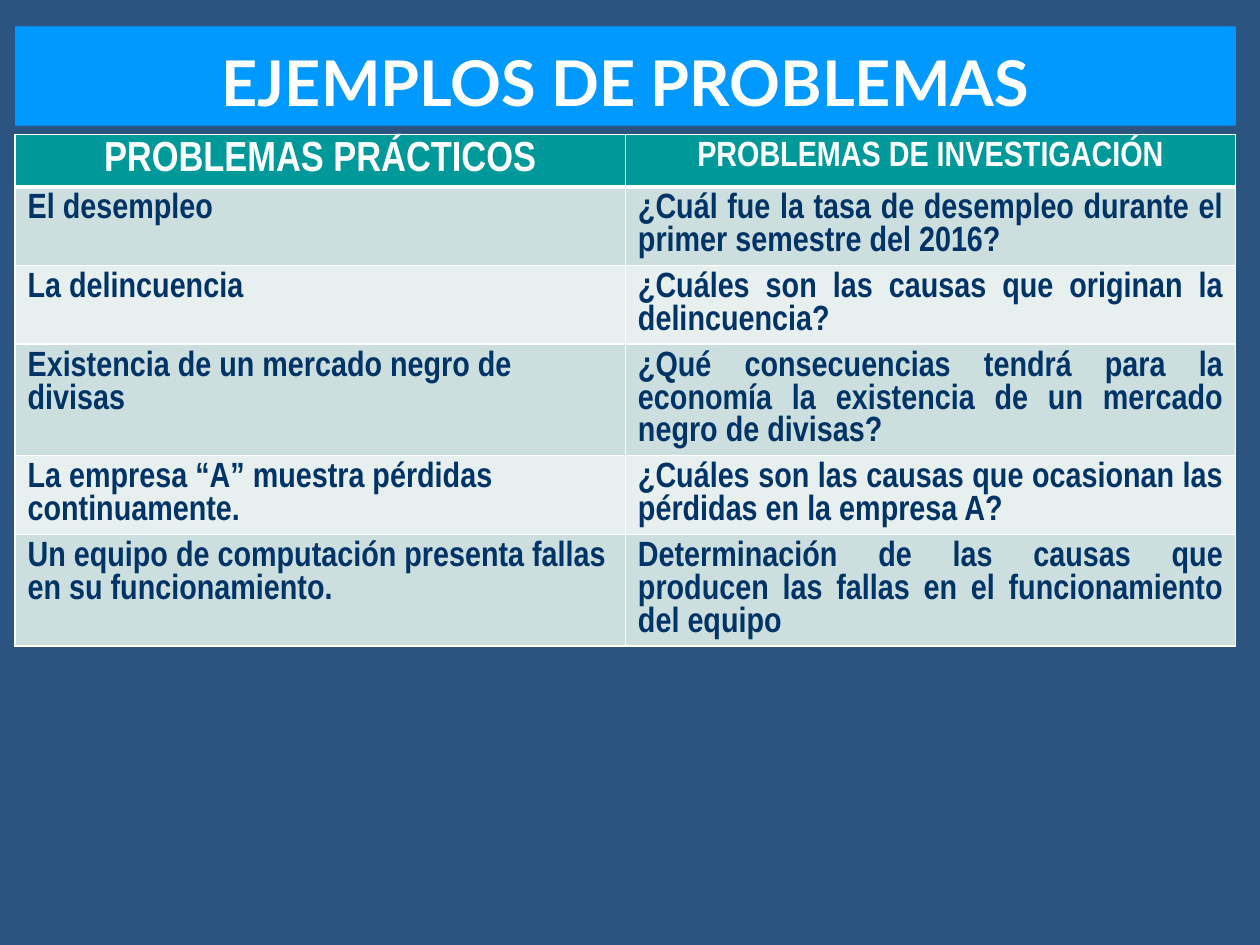
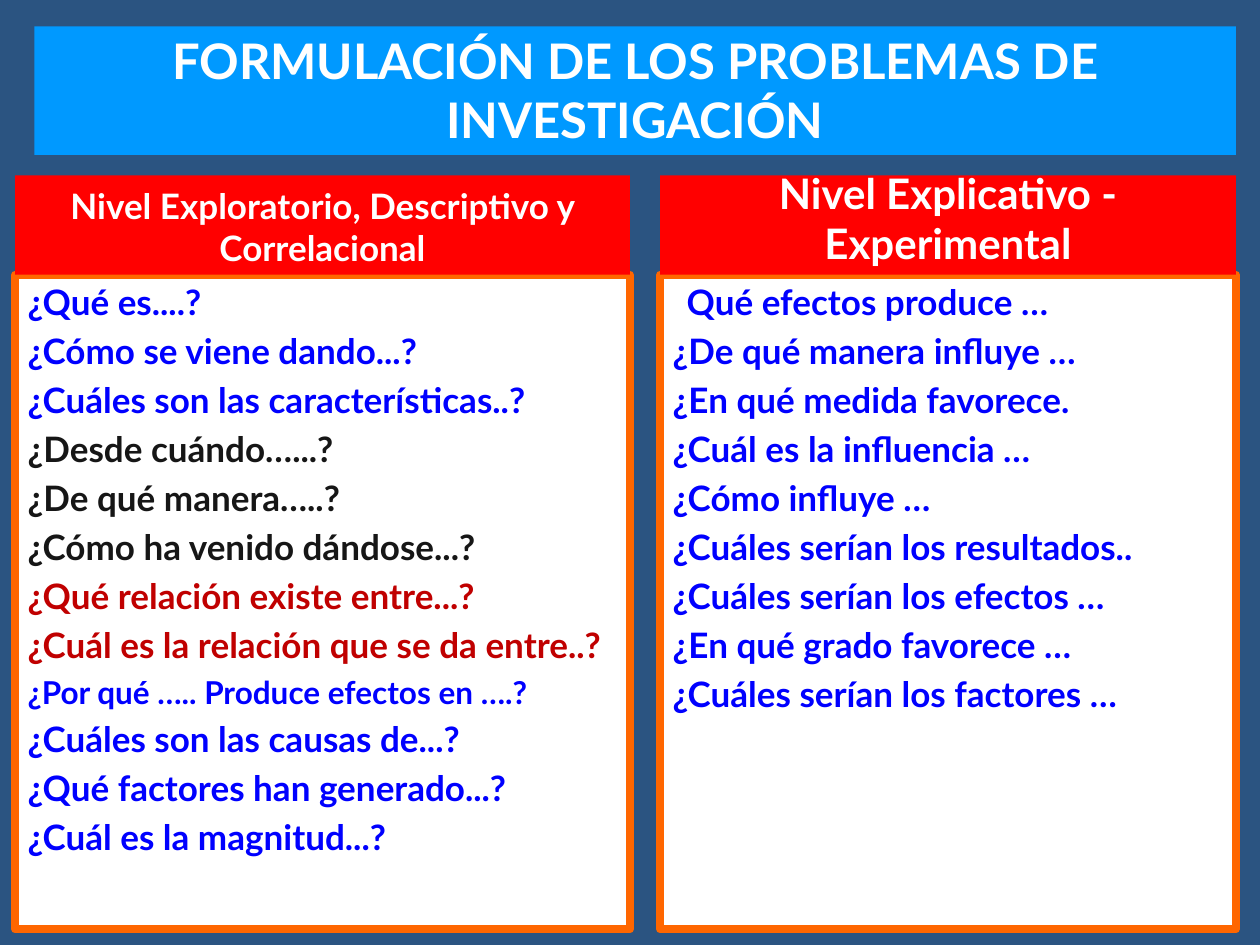
"""Builds two slides on practical problems and research problems."""
from lxml.etree import SubElement
from pptx import Presentation
from pptx.dml.color import RGBColor
from pptx.enum.text import MSO_ANCHOR as Anchor, MSO_AUTO_SIZE as AutoSize, PP_ALIGN as Align
from pptx.oxml.ns import qn
from pptx.util import Pt

NAVY, SKY, TEAL, RED, ORANGE = "2B5481", "0099FF", "009999", "FF0000", "FF6600"
WHITE, INK, BLUE, BLACK, CRIMSON = "FFFFFF", "003366", "0000FF", "161616", "C00000"
BANDS = ["E7EFEF", "CCDEDE"]
LEFT, RIGHT, TOP = 8.6, 706.2, 15.1


def color(hex_code):
    return RGBColor.from_string(hex_code)


def fill_box(box, left, top, width, height, fill, lines, anchor=Anchor.BOTTOM, align=Align.CENTER):
    """Place a placeholder and fill it with (text, size, colour, first-line indent) lines."""
    box.left, box.top, box.width, box.height = Pt(left), Pt(top), Pt(width), Pt(height)
    box.fill.solid()
    box.fill.fore_color.rgb = color(fill)
    frame = box.text_frame
    frame.auto_size, frame.word_wrap, frame.vertical_anchor = AutoSize.NONE, True, anchor
    for index, (text, size, ink, indent) in enumerate(lines):
        para = frame.paragraphs[0] if index == 0 else frame.add_paragraph()
        para.text = text
        props = para._p.get_or_add_pPr()
        props.set("marL", "0")
        props.set("indent", str(Pt(indent)))
        SubElement(props, qn("a:buNone"))
        para.alignment = align
        para.space_before = Pt(4 if index else 0)
        font = para.font
        font.name, font.size, font.bold, font.color.rgb = "Lato", Pt(size), True, color(ink)


deck = Presentation()
deck.slide_width, deck.slide_height = Pt(720), Pt(540)
background = deck.slide_master.background.fill
background.solid()
background.fore_color.rgb = color(NAVY)

page = deck.slides.add_slide(deck.slide_layouts.get_by_name("Title Only"))
fill_box(page.shapes.title, LEFT, TOP, RIGHT - LEFT, 56.7, SKY,
         [("EJEMPLOS DE PROBLEMAS", 36, WHITE, 0)])

problems = [
    ("PROBLEMAS PRÁCTICOS", "PROBLEMAS DE INVESTIGACIÓN"),
    ("El desempleo", "¿Cuál fue la tasa de desempleo durante el primer semestre del 2016?"),
    ("La delincuencia", "¿Cuáles son las causas que originan la delincuencia?"),
    ("Existencia de un mercado negro de divisas",
     "¿Qué consecuencias tendrá para la economía la existencia de un mercado negro de divisas?"),
    ("La empresa “A” muestra pérdidas continuamente.",
     "¿Cuáles son las causas que ocasionan las pérdidas en la empresa A?"),
    ("Un equipo de computación presenta fallas en su funcionamiento.",
     "Determinación de las causas que producen las fallas en el funcionamiento del equipo"),
]
row_height = 29.5
table = page.shapes.add_table(len(problems), 2, Pt(LEFT), Pt(77), Pt(RIGHT - LEFT),
                              Pt(row_height * len(problems))).table
for row, texts in enumerate(problems):
    table.rows[row].height = Pt(row_height)
    for column, text in enumerate(texts):
        cell = table.cell(row, column)
        cell.text = text
        props = cell._tc.get_or_add_tcPr()
        for side in "LRTB":
            heavy = (row, side) in [(0, "B"), (1, "T")]
            border = SubElement(props, qn(f"a:ln{side}"), w=str(Pt(3 if heavy else 1)))
            SubElement(SubElement(border, qn("a:solidFill")), qn("a:srgbClr"), val=WHITE)
        cell.fill.solid()
        cell.fill.fore_color.rgb = color(BANDS[row % 2] if row else TEAL)
        para = cell.text_frame.paragraphs[0]
        para.alignment = Align.CENTER if row == 0 else Align.JUSTIFY if column else Align.LEFT
        font = para.font
        font.name, font.bold = "Arial Narrow", True
        font.size = Pt(24 if row == column == 0 else 20)
        font.color.rgb = color(INK if row else WHITE)

page = deck.slides.add_slide(deck.slide_layouts.get_by_name("Comparison"))
fill_box(page.shapes.title, 19.6, TOP, RIGHT - 19.6, 73.4, SKY,
         [("FORMULACIÓN DE LOS PROBLEMAS DE INVESTIGACIÓN", 28, WHITE, 0)])

explore_questions = [
    ("¿Qué es....?", 20, BLUE, 0),
    ("¿Cómo se viene dando...?", 20, BLUE, 0),
    ("¿Cuáles son las características..?", 20, BLUE, 0),
    ("¿Desde cuándo…...?", 20, BLACK, 0),
    ("¿De qué manera…..?", 20, BLACK, 0),
    ("¿Cómo ha venido dándose...?", 20, BLACK, 0),
    ("¿Qué relación existe entre...?", 20, CRIMSON, 0),
    ("¿Cuál es la relación que se da entre..?", 20, CRIMSON, 0),
    ("¿Por qué ….. Produce efectos en ….?", 18, BLUE, 0),
    ("¿Cuáles son las causas de...?", 20, BLUE, 0),
    ("¿Qué factores han generado...?", 20, BLUE, 0),
    ("¿Cuál es la magnitud...?", 20, BLUE, 0),
]
explain_questions = [("Qué efectos produce …", 20, BLUE, 8)] + [
    (text, 20, BLUE, 0) for text in (
        "¿De qué manera influye …", "¿En qué medida favorece.", "¿Cuál es la influencia …",
        "¿Cómo influye …", "¿Cuáles serían los resultados..", "¿Cuáles serían los efectos …",
        "¿En qué grado favorece …", "¿Cuáles serían los factores …")]
levels = [
    (1, LEFT, 351.4, "Nivel Exploratorio, Descriptivo y Correlacional", 20, explore_questions),
    (3, 377.2, 329, "Nivel Explicativo - Experimental", 24, explain_questions),
]
head_top, head_height = 100.2, 56.7
boxes = {box.placeholder_format.idx: box for box in page.placeholders}
for index, left, width, heading, size, questions in levels:
    head, body = boxes[index], boxes[index + 1]
    fill_box(head, left, head_top, width, head_height, RED, [(heading, size, WHITE, 0)])
    fill_box(body, left, head_top + head_height, width, 374.2, WHITE, questions,
             Anchor.TOP, Align.LEFT)
    body.line.color.rgb, body.line.width = color(ORANGE), Pt(4.5)
    page.shapes._spTree.append(head._element)

deck.save("out.pptx")
